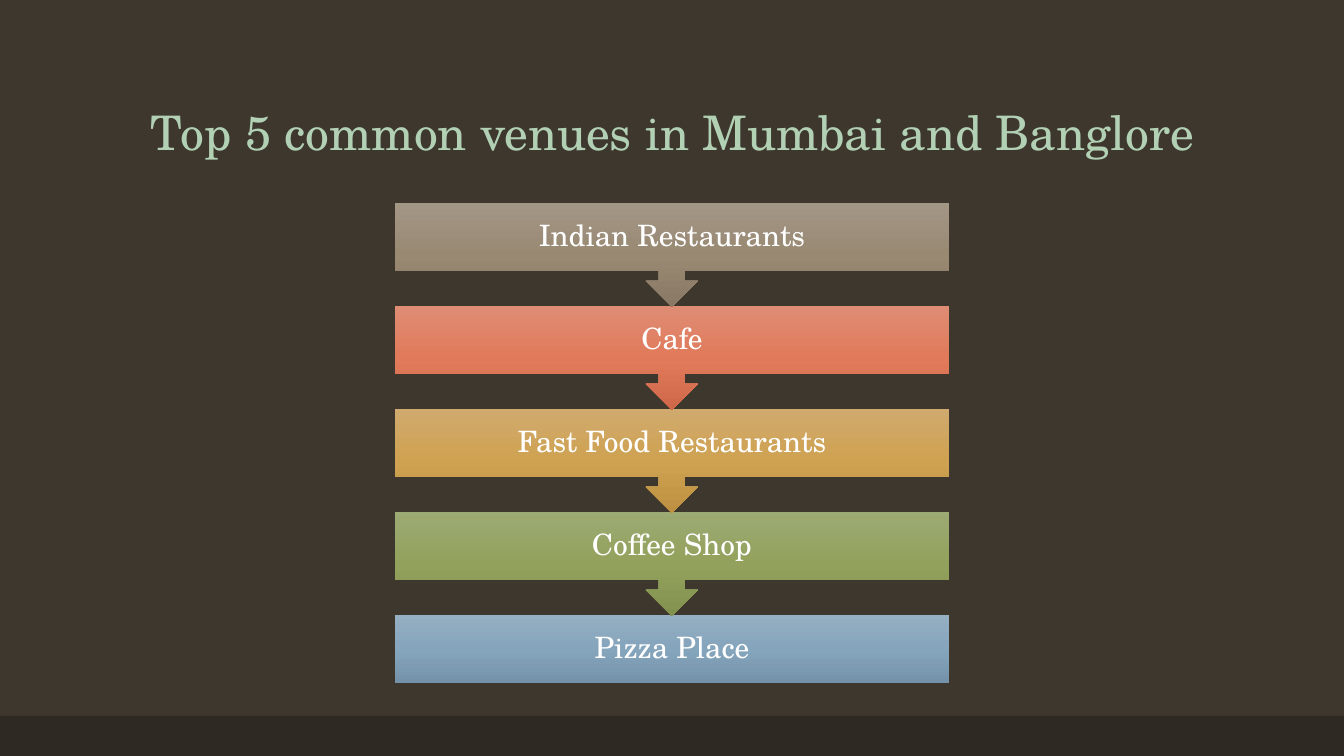
from copy import deepcopy

from pptx import Presentation
from pptx.dml.color import RGBColor
from pptx.enum.shapes import MSO_SHAPE
from pptx.enum.text import MSO_ANCHOR, MSO_AUTO_SIZE, PP_ALIGN
from pptx.oxml.ns import qn
from pptx.util import Emu, Pt

FONT = "TeX Gyre Schola"
BACKGROUND = RGBColor(0x3D, 0x37, 0x2E)
BAND = RGBColor(0x2E, 0x29, 0x23)
MINT = RGBColor(0xB2, 0xD0, 0xB4)
WHITE = RGBColor(0xFF, 0xFF, 0xFF)
BROWN = [RGBColor(0xA2, 0x96, 0x85), RGBColor(0x99, 0x89, 0x73), RGBColor(0x8A, 0x7A, 0x65)]
CORAL = [RGBColor(0xDF, 0x8C, 0x75), RGBColor(0xE0, 0x7A, 0x5A), RGBColor(0xCE, 0x68, 0x49)]
GOLD = [RGBColor(0xD0, 0xAA, 0x6E), RGBColor(0xCF, 0xA2, 0x51), RGBColor(0xBE, 0x91, 0x42)]
GREEN = [RGBColor(0x9C, 0xAA, 0x73), RGBColor(0x92, 0xA2, 0x5C), RGBColor(0x83, 0x93, 0x4F)]
BLUE = [RGBColor(0x96, 0xAF, 0xC2), RGBColor(0x85, 0xA5, 0xBC), RGBColor(0x74, 0x93, 0xAA)]

VENUES = [
    ("Indian Restaurants", BROWN),
    ("Cafe", CORAL),
    ("Fast Food Restaurants", GOLD),
    ("Coffee Shop", GREEN),
    ("Pizza Place", BLUE),
]
SLIDE_WIDTH, SLIDE_HEIGHT = 1344, 756
STEP_LEFT, STEP_TOP, STEP_WIDTH = 395, 203, 554
STEP_PITCH, CALLOUT_HEIGHT, BOX_HEIGHT = 103, 104, 68


def px(length):
    return Emu(round(length * 914400 / 100.8))


def add_plain_shape(page, kind, left, top, width, height):
    shape = page.shapes.add_shape(kind, px(left), px(top), px(width), px(height))
    shape.shadow.inherit = False
    shape.line.fill.background()
    return shape


def write_text(shape, text, size, color, anchor):
    frame = shape.text_frame
    frame.word_wrap = True
    frame.auto_size = MSO_AUTO_SIZE.NONE
    frame.vertical_anchor = anchor
    para = frame.paragraphs[0]
    para.alignment = PP_ALIGN.CENTER
    para.line_spacing = 0.9
    span = para.add_run()
    span.text = text
    span.font.name = FONT
    span.font.size = Pt(size)
    span.font.color.rgb = color


def fill_gradient(shape, colors):
    fill = shape.fill
    fill.gradient()
    fill.gradient_angle = 270
    # The default gradient has two stops; add a middle one
    stop_list = next(shape.element.iter(qn("a:gsLst")))
    stop_list.insert(1, deepcopy(stop_list[0]))
    for index, (stop, color) in enumerate(zip(fill.gradient_stops, colors)):
        stop.position = index / 2
        stop.color.rgb = color


def add_step(page, index, text, colors, is_last):
    kind = MSO_SHAPE.RECTANGLE if is_last else MSO_SHAPE.DOWN_ARROW_CALLOUT
    height = BOX_HEIGHT if is_last else CALLOUT_HEIGHT
    top = STEP_TOP + index * STEP_PITCH
    step = add_plain_shape(page, kind, STEP_LEFT, top, STEP_WIDTH, height)
    fill_gradient(step, colors)
    frame = step.text_frame
    frame.margin_left = frame.margin_right = px(16)
    frame.margin_top = frame.margin_bottom = px(16)
    write_text(step, text, 21, WHITE, MSO_ANCHOR.MIDDLE)


def main():
    deck = Presentation()
    deck.slide_width, deck.slide_height = px(SLIDE_WIDTH), px(SLIDE_HEIGHT)
    page = deck.slides.add_slide(deck.slide_layouts[5])

    # Background and bottom band
    page.background.fill.solid()
    page.background.fill.fore_color.rgb = BACKGROUND
    band = add_plain_shape(page, MSO_SHAPE.RECTANGLE, 0, 716, SLIDE_WIDTH, 40)
    band.fill.solid()
    band.fill.fore_color.rgb = BAND

    # Title
    title = page.shapes.title
    title.left, title.top, title.width, title.height = px(93), px(40), px(1159), px(126)
    write_text(title, "Top 5 common venues in Mumbai and Banglore", 34, MINT, MSO_ANCHOR.BOTTOM)

    # Venue flow, last step first so each arrow lies over the next box
    for index, (venue, colors) in reversed(list(enumerate(VENUES))):
        add_step(page, index, venue, colors, index == len(VENUES) - 1)

    deck.save("out.pptx")


if __name__ == "__main__":
    main()
